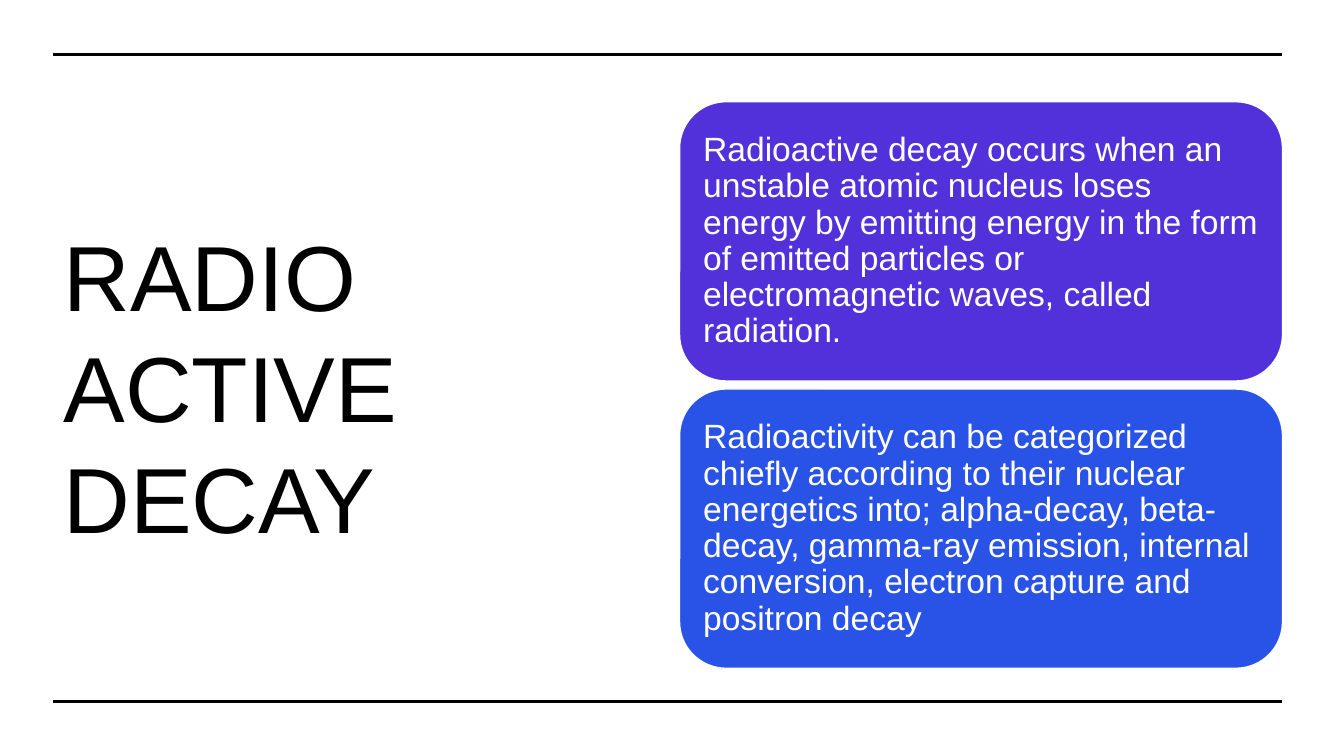
from dataclasses import dataclass

from pptx import Presentation
from pptx.dml.color import RGBColor as Rgb
from pptx.enum.shapes import MSO_CONNECTOR as Link, MSO_SHAPE as Form
from pptx.enum.text import MSO_ANCHOR as Anchor, MSO_AUTO_SIZE as Fit, PP_ALIGN as Align
from pptx.oxml.ns import qn
from pptx.util import Inches, Pt
from lxml.etree import SubElement

TITLE = "RADIO ACTIVE DECAY"
CARDS = [
    ("Radioactive decay occurs when an unstable atomic nucleus loses energy by "
     "emitting energy in the form of emitted particles or electromagnetic waves, "
     "called radiation.", "5231DA"),
    ("Radioactivity can be categorized chiefly according to their nuclear "
     "energetics into; alpha-decay, beta-decay, gamma-ray emission, internal "
     "conversion, electron capture and positron decay", "2953E7"),
]


@dataclass(frozen=True)
class Theme:
    font: str = "Arial"
    ink: str = "000000"
    paper: str = "FFFFFF"
    head: float = 66
    body: float = 24
    rule: float = 2.25
    edge: float = 1


theme = Theme()
WIDE, HIGH = 13.33, 7.5
LEFT, RIGHT = 0.53, 12.72
RULES = (0.54, HIGH - 0.54)
HEAD = (LEFT, 0.95, 6.14, 5.75)
CARD_X, CARD_Y, CARD_H, GAP = 6.74, 1.01, 2.77, 0.08


def write(shape, text, size, color, lead):
    frame = shape.text_frame
    frame.text = text
    frame.word_wrap = True
    frame.auto_size = Fit.NONE
    frame.vertical_anchor = Anchor.MIDDLE
    para = frame.paragraphs[0]
    para.alignment = Align.LEFT
    para.line_spacing = lead
    para.font.name = theme.font
    para.font.size = Pt(size)
    para.font.color.rgb = Rgb.from_string(color)
    return frame


def add_title(slide):
    title = slide.shapes.title
    title.left, title.top, title.width, title.height = map(Inches, HEAD)
    write(title, TITLE, theme.head, theme.ink, 1.0)


def add_rule(slide, y):
    line = slide.shapes.add_connector(
        Link.STRAIGHT, *map(Inches, (LEFT, y, RIGHT, y)))
    line.line.color.rgb = Rgb.from_string(theme.ink)
    line.line.width = Pt(theme.rule)
    SubElement(line._element.spPr, qn("a:effectLst"))


def add_card(slide, row, text, color):
    y = CARD_Y + row * (CARD_H + GAP)
    box = map(Inches, (CARD_X, y, RIGHT - CARD_X, CARD_H))
    card = slide.shapes.add_shape(Form.ROUNDED_RECTANGLE, *box)
    card.shadow.inherit = False
    card.fill.solid()
    card.fill.fore_color.rgb = Rgb.from_string(color)
    card.line.color.rgb = Rgb.from_string(theme.paper)
    card.line.width = Pt(theme.edge)
    frame = write(card, text, theme.body, theme.paper, 0.9)
    frame.margin_left = frame.margin_right = Inches(0.1)
    frame.margin_top = frame.margin_bottom = Inches(0.1)


def main():
    deck = Presentation()
    deck.slide_width, deck.slide_height = Inches(WIDE), Inches(HIGH)
    slide = deck.slides.add_slide(deck.slide_layouts[5])
    add_title(slide)
    for y in RULES:
        add_rule(slide, y)
    for row, (text, color) in enumerate(CARDS):
        add_card(slide, row, text, color)
    deck.save("out.pptx")


if __name__ == "__main__":
    main()
